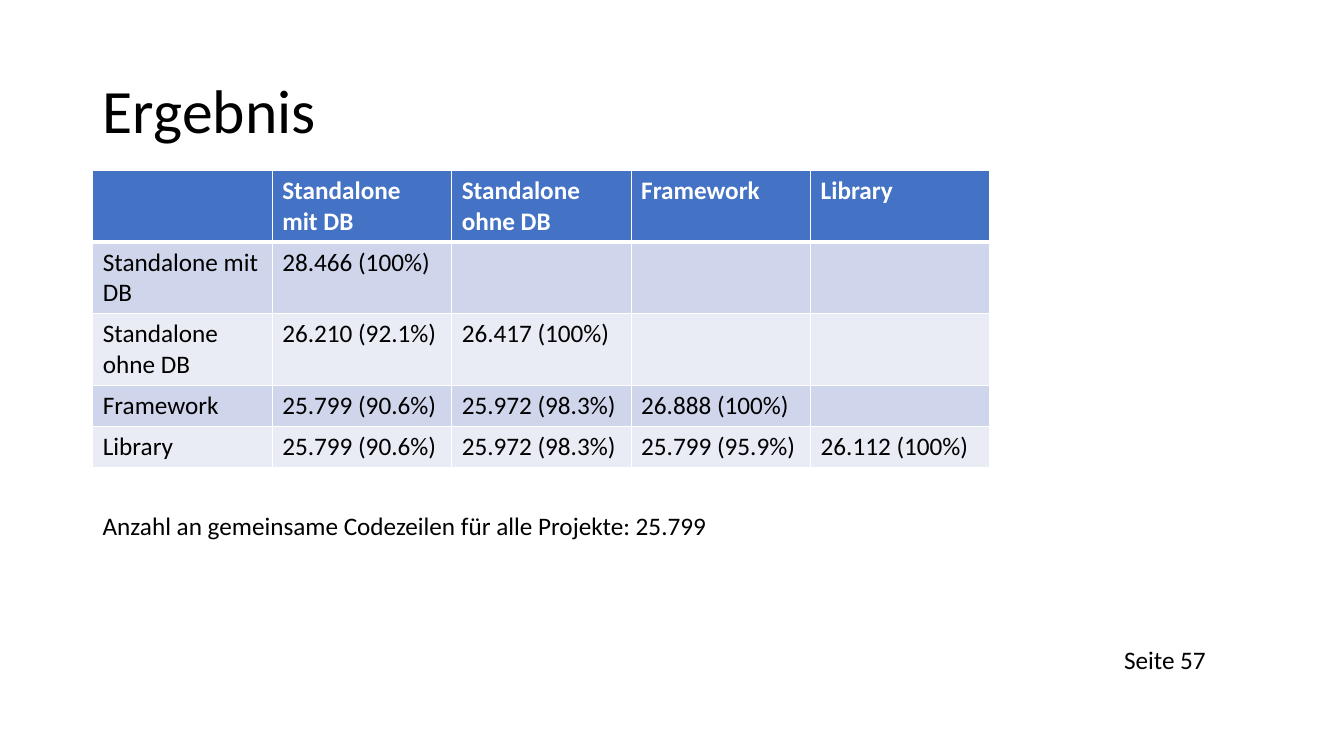
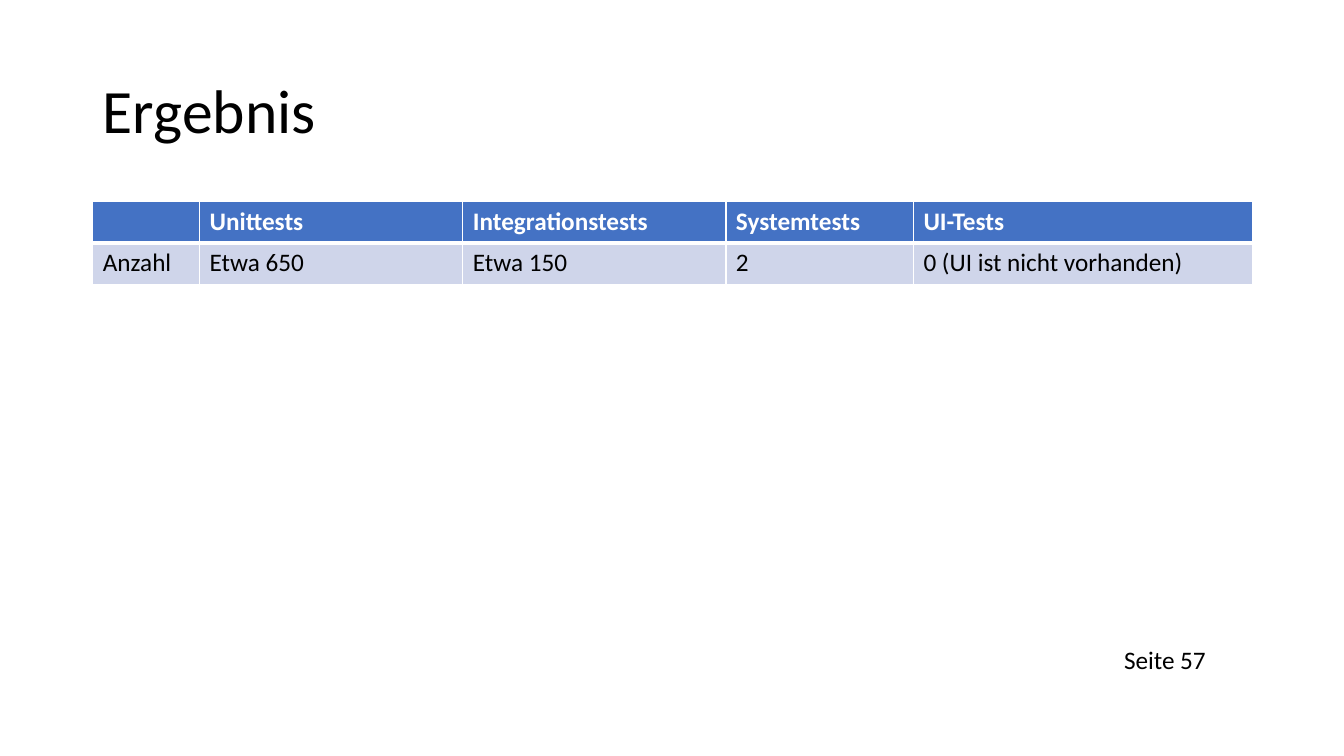
from lxml.etree import SubElement
from pptx import Presentation
from pptx.dml.color import RGBColor
from pptx.enum.text import MSO_ANCHOR, PP_ALIGN
from pptx.oxml.ns import qn
from pptx.util import Inches, Pt

COLORS = {
    "text": "000000",
    "header_text": "FFFFFF",
    "header": "4472C4",
    "odd_row": "CFD5EA",
    "even_row": "E9EBF5",
    "border": "FFFFFF",
}
FONT = "Calibri"
LEFT = 0.92
TITLE_BOX = (LEFT, 0.4, 11.5, 1.45)
FOOTER_BOX = (11.05, 6.34, 2.2, 0.4)
TITLE_FORMAT = {"size": Pt(44), "bold": False}
TEXT_FORMAT = {"size": Pt(18), "bold": False}
HEADER_FORMAT = {"size": Pt(18), "bold": True}

SLIDES = [
    {
        "title": "Ergebnis",
        "table_top": 1.69,
        "columns": [1.78] * 5,
        "row_heights": [0.71, 0.71, 0.71, 0.41, 0.41],
        "rows": [
            ["", "Standalone mit DB", "Standalone ohne DB", "Framework", "Library"],
            ["Standalone mit DB", "28.466 (100%)", "", "", ""],
            ["Standalone ohne DB", "26.210 (92.1%)", "26.417 (100%)", "", ""],
            ["Framework", "25.799 (90.6%)", "25.972 (98.3%)", "26.888 (100%)", ""],
            ["Library", "25.799 (90.6%)", "25.972 (98.3%)", "25.799 (95.9%)",
             "26.112 (100%)"],
        ],
        "note": "Anzahl an gemeinsame Codezeilen für alle Projekte: 25.799",
        "footer": "Seite 57",
    },
    {
        "title": "Ergebnis",
        "table_top": 2,
        "columns": [1.06, 2.61, 2.61, 1.86, 3.36],
        "row_heights": [0.41, 0.41],
        "rows": [
            ["", "Unittests", "Integrationstests", "Systemtests", "UI-Tests"],
            ["Anzahl", "Etwa 650", "Etwa 150", "2", "0 (UI ist nicht vorhanden)"],
        ],
        "footer": "Seite 57",
    },
]
NOTE_BOX = (LEFT, 5.01, 6.26, 0.4)


def write(text_frame, text, font_format, color="text"):
    paragraph = text_frame.paragraphs[0]
    paragraph.text = text
    paragraph.alignment = PP_ALIGN.LEFT
    # An empty cell takes its line height from the paragraph font.
    fonts = [run.font for run in paragraph.runs] or [paragraph.font]
    for font in fonts:
        font.name = FONT
        font.color.rgb = RGBColor.from_string(COLORS[color])
        for name, value in font_format.items():
            setattr(font, name, value)
    return paragraph


def add_title(slide, text):
    title = slide.shapes.title
    title.left, title.top, title.width, title.height = map(Inches, TITLE_BOX)
    title.text_frame.vertical_anchor = MSO_ANCHOR.MIDDLE
    write(title.text_frame, text, TITLE_FORMAT).line_spacing = 0.9


def add_text(slide, box, text):
    text_frame = slide.shapes.add_textbox(*map(Inches, box)).text_frame
    text_frame.word_wrap = True
    write(text_frame, text, TEXT_FORMAT)


def set_borders(cell, widths):
    properties = cell._tc.get_or_add_tcPr()
    for side, width in widths.items():
        line = SubElement(properties, qn(f"a:ln{side}"), w=str(Pt(width)))
        fill = SubElement(line, qn("a:solidFill"))
        SubElement(fill, qn("a:srgbClr"), val=COLORS["border"])


def add_table(slide, content):
    rows, columns, heights = (content[key] for key in ("rows", "columns", "row_heights"))
    box = (LEFT, content["table_top"], sum(columns), sum(heights))
    table = slide.shapes.add_table(len(rows), len(columns), *map(Inches, box)).table
    for column, width in zip(table.columns, columns):
        column.width = Inches(width)
    for row_index, (row, height) in enumerate(zip(table.rows, heights)):
        row.height = Inches(height)
        is_header = row_index == 0
        row_fill = "header" if is_header else "odd_row" if row_index % 2 else "even_row"
        borders = {"L": 1, "R": 1, "T": 3 if row_index == 1 else 1,
                   "B": 3 if is_header else 1}
        for cell, text in zip(row.cells, rows[row_index]):
            set_borders(cell, borders)
            cell.fill.solid()
            cell.fill.fore_color.rgb = RGBColor.from_string(COLORS[row_fill])
            write(cell.text_frame, text,
                  HEADER_FORMAT if is_header else TEXT_FORMAT,
                  "header_text" if is_header else "text")


def main():
    presentation = Presentation()
    presentation.slide_width = Inches(13.33)
    presentation.slide_height = Inches(7.5)
    title_only = presentation.slide_layouts.get_by_name("Title Only")
    for content in SLIDES:
        slide = presentation.slides.add_slide(title_only)
        add_title(slide, content["title"])
        add_table(slide, content)
        if "note" in content:
            add_text(slide, NOTE_BOX, content["note"])
        add_text(slide, FOOTER_BOX, content["footer"])
    presentation.save("out.pptx")


if __name__ == "__main__":
    main()
